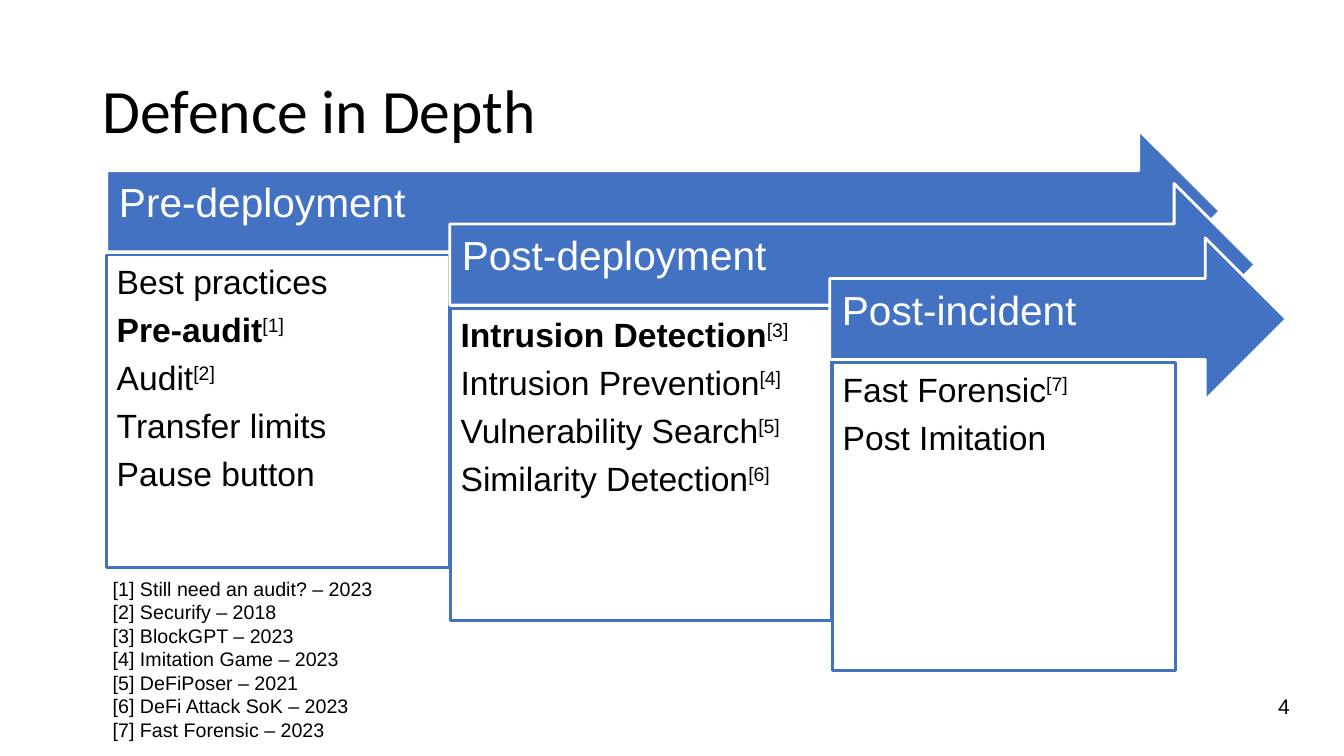
from pptx import Presentation
from pptx.dml.color import RGBColor
from pptx.enum.shapes import MSO_SHAPE
from pptx.enum.text import MSO_ANCHOR, PP_ALIGN
from pptx.util import Inches, Pt

HUES = {"blue": "4372C3", "white": "FFFFFF", "black": "000000"}

STAGES = [
    ("Pre-deployment", (1.06, 1.29, 11.04), (1.06, 2.53, 3.4, 3.1),
     [("Best practices",), ("Pre-audit", "[1]", True), ("Audit", "[2]"),
      ("Transfer limits",), ("Pause button",)]),
    ("Post-deployment", (4.46, 1.82, 7.99), (4.47, 3.06, 3.78, 3.1),
     [("Intrusion Detection", "[3]", True), ("Intrusion Prevention", "[4]"),
      ("Vulnerability Search", "[5]"), ("Similarity Detection", "[6]")]),
    ("Post-incident", (8.23, 2.36, 4.53), (8.26, 3.6, 3.4, 3.05),
     [("Fast Forensic", "[7]"), ("Post Imitation",)]),
]

WORKS = ["Still need an audit? – 2023", "Securify – 2018", "BlockGPT – 2023",
         "Imitation Game – 2023", "DeFiPoser – 2021",
         "DeFi Attack SoK – 2023", "Fast Forensic – 2023"]


def hue(name):
    """Give the colour of a name."""
    return RGBColor.from_string(HUES[name])


def add_run(para, text, size, font, color, bold=False, raised=False):
    """Add a run, raised or level."""
    run = para.add_run()
    run.text = text
    run.font.name, run.font.size = font, Pt(size)
    run.font.bold = bold
    run.font.color.rgb = hue(color)
    if raised:
        run._r.get_or_add_rPr().set("baseline", "30000")


def write(shape, lines, size, font="Arial", color="black", align=PP_ALIGN.LEFT,
          anchor=MSO_ANCHOR.TOP, pads=(0.1, 0.05, 0.1, 0.05), lead=1.0, gap=0):
    """Fill a shape with lines of words, raised mark and boldness."""
    frame = shape.text_frame
    frame.word_wrap = True
    frame.vertical_anchor = anchor
    (frame.margin_left, frame.margin_top,
     frame.margin_right, frame.margin_bottom) = map(Inches, pads)
    for i, line in enumerate(lines):
        words, mark, bold = line + ("", False)[len(line) - 1:]
        para = frame.add_paragraph() if i else frame.paragraphs[0]
        para.alignment = align
        para.line_spacing = lead
        para.space_before = Pt(gap if i else 0)
        add_run(para, words, size, font, color, bold=bold)
        if mark:
            add_run(para, mark, size, font, color, raised=True)


def add_text(slide, box, lines, size, **form):
    """Add a text box."""
    label = slide.shapes.add_textbox(*map(Inches, box))
    write(label, lines, size, **form)


def add_block(slide, kind, box, fill, edge):
    """Add a filled and outlined shape."""
    block = slide.shapes.add_shape(kind, *map(Inches, box))
    block.shadow.inherit = False
    block.fill.solid()
    block.fill.fore_color.rgb = hue(fill)
    block.line.color.rgb = hue(edge)
    block.line.width = Pt(2)
    return block


def add_stage(slide, name, place, box, items):
    """Add an arrow with its name and the panel below it."""
    arrow = add_block(slide, MSO_SHAPE.RIGHT_ARROW, (*place, 1.61), "blue", "white")
    write(arrow, [(name,)], 29, color="white", anchor=MSO_ANCHOR.MIDDLE,
          pads=(0.12, 0.12, 0.28, 0.26), lead=0.9)
    panel = add_block(slide, MSO_SHAPE.RECTANGLE, box, "white", "blue")
    write(panel, items, 24, pads=(0.1,) * 4, lead=0.9, gap=8.4)


def add_title(slide, text):
    """Place and fill the title."""
    title = slide.shapes.title
    title.left, title.top, title.width, title.height = map(
        Inches, (0.92, 0.4, 11.5, 1.45))
    write(title, [(text,)], 44, font="Calibri", anchor=MSO_ANCHOR.MIDDLE, lead=0.9)


def main():
    """Build and save the slide."""
    deck = Presentation()
    deck.slide_width, deck.slide_height = Inches(13.33), Inches(7.5)
    slide = deck.slides.add_slide(deck.slide_layouts[5])
    add_title(slide, "Defence in Depth")
    add_text(slide, (10.56, 6.83, 2.33, 0.52), [("4",)], 15, align=PP_ALIGN.RIGHT)
    for stage in STAGES:
        add_stage(slide, *stage)
    notes = [(f"[{i}] {work}",) for i, work in enumerate(WORKS, 1)]
    add_text(slide, (1.02, 5.67, 3.37, 1.99), notes, 14)
    deck.save("out.pptx")


if __name__ == "__main__":
    main()
